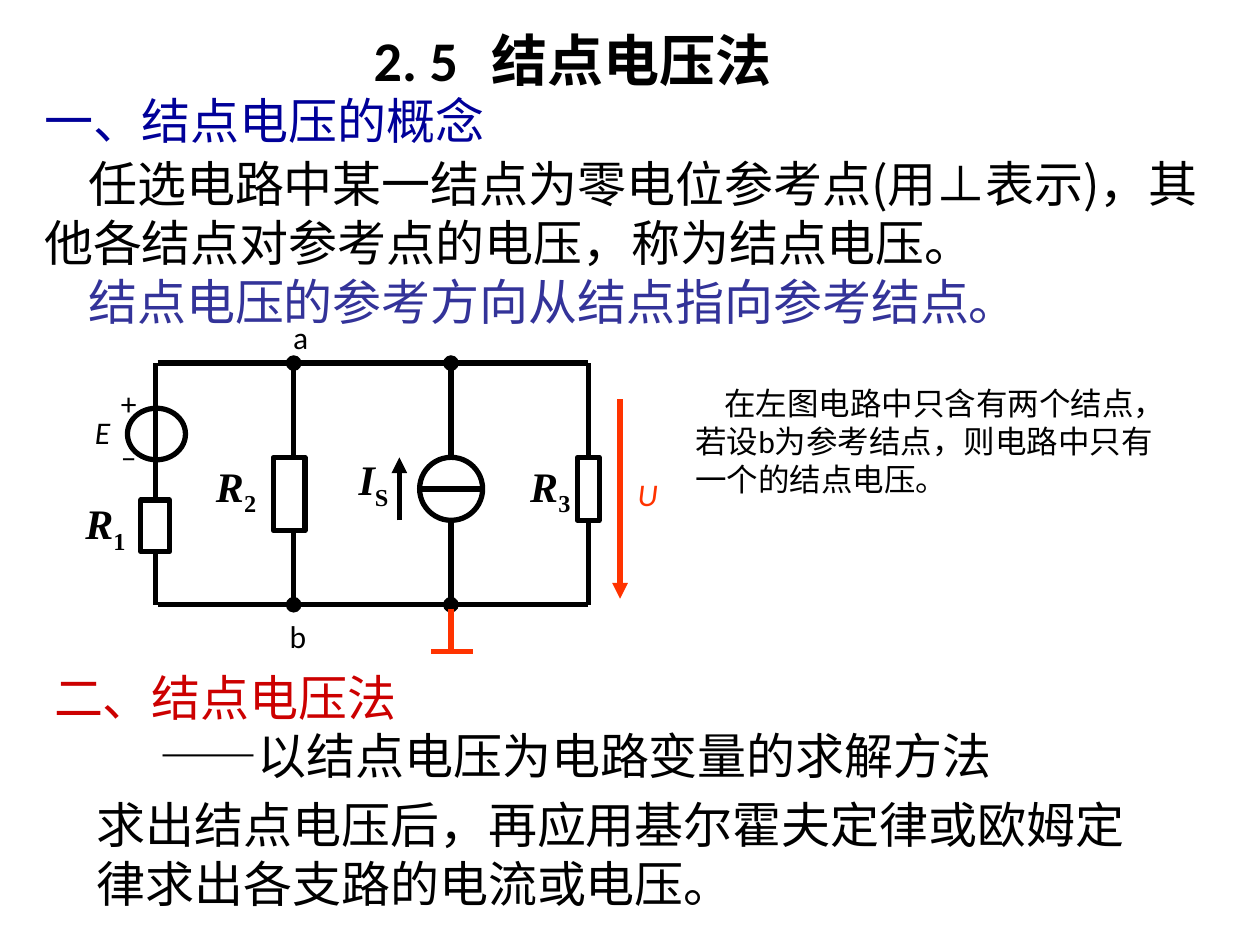
from dataclasses import dataclass
from typing import Optional

from lxml.etree import SubElement
from pptx import Presentation
from pptx.dml.color import RGBColor
from pptx.enum.shapes import MSO_CONNECTOR as Link, MSO_SHAPE as Preset
from pptx.enum.text import MSO_ANCHOR as Anchor, PP_ALIGN as Align
from pptx.oxml.ns import qn
from pptx.util import Cm, Pt


@dataclass(frozen=True)
class Theme:
    """Colours, fonts and type sizes of the slide."""
    black: str = "000000"
    navy: str = "000099"
    indigo: str = "333399"
    red: str = "CC0000"
    orange: str = "FF3300"
    latin: str = "Calibri"
    serif: str = "Times New Roman"
    cjk: str = "Noto Sans CJK SC"
    title_cjk: str = "Noto Sans CJK JP"
    title: int = 32
    body: int = 28
    symbol: int = 24
    small: int = 18
    line: int = 3


THEME = Theme()
TOP, BOTTOM = 7.32, 12.19
SOURCE_X, R2_X, CURRENT_X, R3_X = 3.13, 5.92, 9.09, 11.86


@dataclass(frozen=True)
class Box:
    """Left, top, width and height in centimetres."""
    left: float
    top: float
    width: float
    height: float

    def lengths(self):
        """Return the four lengths for python-pptx."""
        return Cm(self.left), Cm(self.top), Cm(self.width), Cm(self.height)


@dataclass(frozen=True)
class Wire:
    """Straight line with optional end mark and joined parts."""
    x1: float
    y1: float
    x2: float
    y2: float
    tail: Optional[str] = None
    color: str = THEME.black
    begin: Optional[tuple] = None
    end: Optional[tuple] = None


@dataclass(frozen=True)
class Symbol:
    """Bold italic letter with its subscript."""
    letter: str
    subscript: str
    box: Box


@dataclass(frozen=True)
class Mark:
    """Small centred label of one or more lines."""
    lines: tuple
    box: Box
    color: str = THEME.black
    italic: bool = False


def add_run(paragraph, text: str, *, size: int = THEME.body, color: str = THEME.black,
            font: str = THEME.cjk, cjk: str = THEME.cjk, bold: bool = False,
            italic: bool = False, baseline: int = 0, spacing: int = 0) -> None:
    """Append formatted text to a paragraph."""
    run = paragraph.add_run()
    run.text = text
    run.font.size, run.font.name = Pt(size), font
    run.font.bold, run.font.italic = bold, italic
    run.font.color.rgb = RGBColor.from_string(color)
    properties = run.font._element
    SubElement(properties, qn("a:ea")).set("typeface", cjk)
    if baseline:
        properties.set("baseline", str(baseline * 1000))
    if spacing:
        properties.set("spc", str(spacing * 100))


def add_frame(slide, box: Box, anchor=Anchor.TOP, wrap: bool = True):
    """Add a text box and return its text frame."""
    frame = slide.shapes.add_textbox(*box.lengths()).text_frame
    frame.word_wrap, frame.vertical_anchor = wrap, anchor
    return frame


def indent(paragraph, length: float) -> None:
    """Indent the first line of a paragraph."""
    properties = paragraph._p.get_or_add_pPr()
    properties.set("marL", "0")
    properties.set("indent", str(Cm(length)))


def add_part(slide, preset, box: Box):
    """Draw the outline of a circuit part."""
    part = slide.shapes.add_shape(preset, *box.lengths())
    part.shadow.inherit = False
    part.fill.background()
    part.line.color.rgb = RGBColor.from_string(THEME.black)
    part.line.width = Pt(THEME.line)
    return part


def add_wire(slide, wire: Wire) -> None:
    """Draw a wire, arrow or bar."""
    ends = (Cm(value) for value in (wire.x1, wire.y1, wire.x2, wire.y2))
    connector = slide.shapes.add_connector(Link.STRAIGHT, *ends)
    if wire.begin:
        connector.begin_connect(*wire.begin)
    if wire.end:
        connector.end_connect(*wire.end)
    connector.line.color.rgb = RGBColor.from_string(wire.color)
    connector.line.width = Pt(THEME.line)
    if wire.tail:
        SubElement(connector.line._get_or_add_ln(), qn("a:tailEnd")).set("type", wire.tail)
    SubElement(connector._element.spPr, qn("a:effectLst"))


def add_symbol(slide, symbol: Symbol) -> None:
    """Write a circuit quantity with its subscript."""
    paragraph = add_frame(slide, symbol.box, Anchor.MIDDLE).paragraphs[0]
    paragraph.alignment = Align.CENTER
    style = dict(size=THEME.symbol, font=THEME.serif, bold=True)
    add_run(paragraph, symbol.letter, italic=True, **style)
    add_run(paragraph, symbol.subscript, baseline=-25, **style)


def add_mark(slide, mark: Mark) -> None:
    """Write a small label beside the circuit."""
    frame = add_frame(slide, mark.box, Anchor.MIDDLE)
    for index, text in enumerate(mark.lines):
        paragraph = frame.add_paragraph() if index else frame.paragraphs[0]
        paragraph.alignment = Align.CENTER
        if index:
            paragraph.space_before = Pt(THEME.small / 2)
        add_run(paragraph, text, size=THEME.small, color=mark.color,
                font=THEME.latin, italic=mark.italic)


def add_texts(slide) -> None:
    """Write the title, headings and running text."""
    title = slide.shapes.title
    title.left, title.top, title.width, title.height = Box(5.82, 0.38, 11.46, 1.63).lengths()
    heading = title.text_frame.paragraphs[0]
    heading.alignment = Align.CENTER
    style = dict(size=THEME.title, bold=True, cjk=THEME.title_cjk)
    add_run(heading, "2. 5", font=THEME.latin, **style)
    add_run(heading, " ", font=THEME.latin, spacing=12, **style)
    add_run(heading, "结点电压法", font=THEME.title_cjk, **style)

    concept = add_frame(slide, Box(0.64, 1.7, 9.45, 1.45), wrap=False).paragraphs[0]
    add_run(concept, "一、结点电压的概念", color=THEME.navy, font=THEME.latin)

    definition = add_frame(slide, Box(0.64, 2.97, 24.1, 3.81))
    sentences = (
        ("任选电路中某一结点为零电位参考点(用⊥表示)，其他各结点对参考点的电压，称为结点电压。", THEME.black),
        ("结点电压的参考方向从结点指向参考结点。", THEME.indigo),
    )
    for index, (sentence, color) in enumerate(sentences):
        paragraph = definition.add_paragraph() if index else definition.paragraphs[0]
        indent(paragraph, 0.89)
        add_run(paragraph, sentence, color=color)

    remark = add_frame(slide, Box(13.77, 7.62, 9.73, 4.32)).paragraphs[0]
    indent(remark, 0.58)
    add_run(remark, "在左图电路中只含有两个结点，若设", size=THEME.small)
    add_run(remark, "b", size=THEME.small, font=THEME.latin)
    add_run(remark, "为参考结点，则电路中只有一个的结点电压。", size=THEME.small)

    method = add_frame(slide, Box(0.84, 13.34, 8.33, 1.45)).paragraphs[0]
    add_run(method, "二、结点电压法", color=THEME.red, font=THEME.latin)
    meaning = add_frame(slide, Box(2.97, 14.5, 19.23, 1.45)).paragraphs[0]
    add_run(meaning, "——")
    add_run(meaning, "以结点电压为电路变量的求解方法", font=THEME.latin)
    conclusion = add_frame(slide, Box(1.7, 15.9, 21.23, 2.62), Anchor.MIDDLE).paragraphs[0]
    add_run(conclusion, "求出结点电压后，再应用基尔霍夫定律或欧姆定律求出各支路的电流或电压。")


def add_circuit(slide) -> None:
    """Draw the circuit with its labels."""
    add_part(slide, Preset.OVAL, Box(2.57, 8.23, 1.17, 1.04))
    add_part(slide, Preset.OVAL, Box(8.46, 9.22, 1.27, 1.27))
    r1 = add_part(slide, Preset.RECTANGLE, Box(2.84, 10.08, 0.58, 1.04))
    add_part(slide, Preset.RECTANGLE, Box(5.51, 9.22, 0.64, 1.48))
    r3 = add_part(slide, Preset.RECTANGLE, Box(11.64, 9.22, 0.44, 1.27))
    for wire in (
        *(Wire(3.18, y, R3_X, y) for y in (TOP, BOTTOM)),
        Wire(SOURCE_X, 10.08, SOURCE_X, TOP, begin=(r1, 0)),
        Wire(SOURCE_X, 11.12, SOURCE_X, BOTTOM, begin=(r1, 2)),
        Wire(R2_X, 9.22, R2_X, TOP, "oval"),
        Wire(R2_X, 10.7, R2_X, BOTTOM, "oval"),
        Wire(CURRENT_X, 9.22, CURRENT_X, TOP, "oval"),
        Wire(CURRENT_X, 10.49, CURRENT_X, BOTTOM, "oval"),
        Wire(R3_X, 9.22, R3_X, TOP, begin=(r3, 0)),
        Wire(R3_X, 10.49, R3_X, BOTTOM, begin=(r3, 2)),
        Wire(8.46, 9.86, 9.73, 9.86),
        Wire(8.05, 10.49, 8.05, 9.22, "triangle"),
        Wire(CURRENT_X, 12.27, CURRENT_X, 13.13, color=THEME.orange),
        Wire(8.69, 13.13, 9.53, 13.13, color=THEME.orange),
        Wire(12.5, 8.05, 12.5, 12.07, "triangle", THEME.orange),
    ):
        add_wire(slide, wire)
    for symbol in (
        Symbol("R", "1", Box(0.84, 9.98, 2.57, 1.27)),
        Symbol("R", "2", Box(4.01, 9.22, 1.5, 1.27)),
        Symbol("I", "S", Box(6.78, 9.09, 1.5, 1.27)),
        Symbol("R", "3", Box(10.36, 9.22, 1.47, 1.27)),
    ):
        add_symbol(slide, symbol)
    for mark in (
        Mark(("a",), Box(5.59, 6.15, 0.94, 1.27)),
        Mark(("b",), Box(5.51, 12.19, 0.99, 1.27)),
        Mark(("E",), Box(1.27, 8.08, 1.6, 1.27), italic=True),
        Mark(("+", "–"), Box(2.01, 7.26, 1.17, 2.79)),
        Mark(("U",), Box(12.5, 9.32, 1.12, 1.27), THEME.orange, True),
    ):
        add_mark(slide, mark)


def main() -> None:
    """Build and save the slide."""
    deck = Presentation()
    deck.slide_width, deck.slide_height = Cm(25.4), Cm(19.05)
    slide = deck.slides.add_slide(deck.slide_layouts[5])
    add_texts(slide)
    add_circuit(slide)
    deck.save("out.pptx")


if __name__ == "__main__":
    main()
